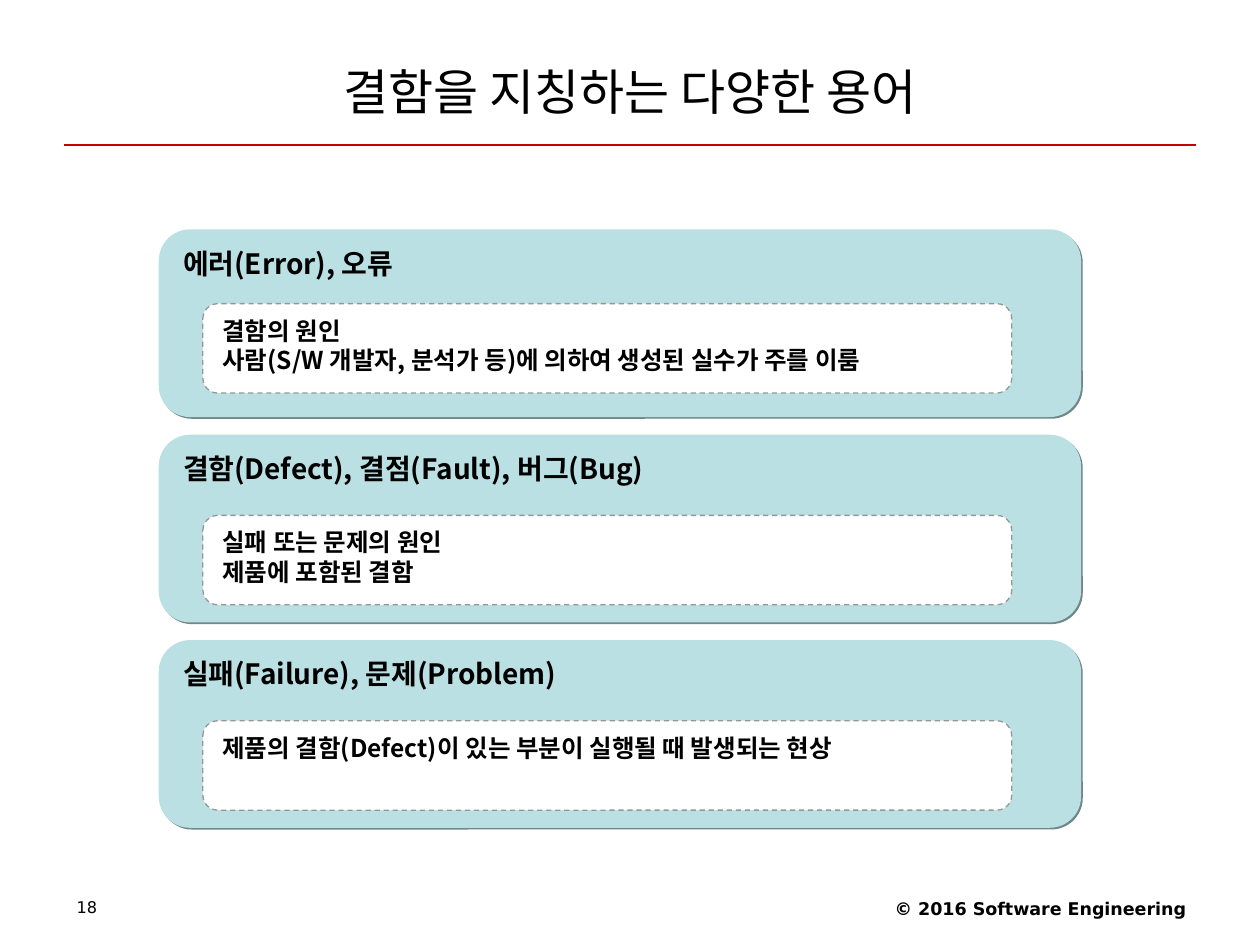
from lxml import etree
from pptx import Presentation
from pptx.dml.color import RGBColor
from pptx.enum.dml import MSO_LINE
from pptx.enum.shapes import MSO_CONNECTOR, MSO_SHAPE
from pptx.enum.text import MSO_ANCHOR, PP_ALIGN
from pptx.oxml.ns import qn
from pptx.util import Inches, Pt

LEFT, CENTER, RIGHT = PP_ALIGN.LEFT, PP_ALIGN.CENTER, PP_ALIGN.RIGHT
TOP, MIDDLE = MSO_ANCHOR.TOP, MSO_ANCHOR.MIDDLE
ROUNDED = MSO_SHAPE.ROUNDED_RECTANGLE
STRAIGHT = MSO_CONNECTOR.STRAIGHT
DASH = MSO_LINE.DASH

KOREAN, LATIN = "Noto Sans CJK KR", "DejaVu Sans"
BLACK, WHITE, RED = "000000", "FFFFFF", "C40000"
CARD_FILL, CARD_SHADOW, BOX_LINE = "BBE0E3", "708688", "969696"

# Heading, explanation lines, offset of the explanation box inside its card
TERMS = [
    ("에러(Error), 오류",
     ["결함의 원인", "사람(S/W 개발자, 분석가 등)에 의하여 생성된 실수가 주를 이룸"], 0.59),
    ("결함(Defect), 결점(Fault), 버그(Bug)",
     ["실패 또는 문제의 원인", "제품에 포함된 결함"], 0.64),
    ("실패(Failure), 문제(Problem)",
     ["제품의 결함(Defect)이 있는 부분이 실행될 때 발생되는 현상"], 0.64),
]
CARD_TOP, CARD_STEP = 1.82, 1.63


def color(value):
    return RGBColor.from_string(value)


def write_text(shape, lines, size, font=KOREAN, bold=False, align=LEFT,
               anchor=TOP, margins=(0.12, 0.06), spacing=1.0):
    frame = shape.text_frame
    frame.word_wrap = True
    frame.vertical_anchor = anchor
    frame.margin_left = frame.margin_right = Inches(margins[0])
    frame.margin_top = frame.margin_bottom = Inches(margins[1])
    for index, line in enumerate(lines):
        paragraph = frame.add_paragraph() if index else frame.paragraphs[0]
        paragraph.alignment = align
        paragraph.line_spacing = spacing
        run = paragraph.add_run()
        run.text = line
        run.font.name = font
        run.font.size = Pt(size)
        run.font.bold = bold
        run.font.color.rgb = color(BLACK)
        east_asian = etree.SubElement(run.font._element, qn("a:ea"))
        east_asian.set("typeface", font)


class SlideBuilder:
    def __init__(self, slide):
        self.slide = slide

    def text(self, lines, left, top, width, height, **style):
        box = self.slide.shapes.add_textbox(
            Inches(left), Inches(top), Inches(width), Inches(height))
        write_text(box, lines, **style)

    def rule(self, left, right, top):
        line = self.slide.shapes.add_connector(
            STRAIGHT, Inches(left), Inches(top), Inches(right), Inches(top))
        line.line.color.rgb = color(RED)
        line.line.width = Pt(0.75)
        etree.SubElement(line._element.spPr, qn("a:effectLst"))

    def rounded(self, lines, left, top, width, height, fill, size):
        shape = self.slide.shapes.add_shape(
            ROUNDED, Inches(left), Inches(top), Inches(width), Inches(height))
        shape.adjustments[0] = 0.167
        shape.shadow.inherit = False
        shape.fill.solid()
        shape.fill.fore_color.rgb = color(fill)
        shape.line.fill.background()
        write_text(shape, lines, size, bold=True)
        return shape

    def card(self, heading, top):
        shape = self.rounded([heading], 1.26, top, 7.32, 1.49, CARD_FILL, 16)
        effects = shape._element.spPr.find(qn("a:effectLst"))
        shadow = etree.SubElement(effects, qn("a:outerShdw"), blurRad="0",
                                  dist=str(Pt(1.4)), dir=str(45 * 60000),
                                  algn="ctr", rotWithShape="0")
        etree.SubElement(shadow, qn("a:srgbClr"), val=CARD_SHADOW)

    def explanation(self, lines, top):
        shape = self.rounded(lines, 1.61, top, 6.42, 0.71, WHITE, 14)
        shape.line.color.rgb = color(BOX_LINE)
        shape.line.width = Pt(0.75)
        shape.line.dash_style = DASH


def main():
    presentation = Presentation()
    presentation.slide_width, presentation.slide_height = Inches(10), Inches(7.5)
    slide = presentation.slides.add_slide(presentation.slide_layouts[6])
    builder = SlideBuilder(slide)

    # Title and rule
    builder.rule(0.51, 9.49, 1.15)
    builder.text(["결함을 지칭하는 다양한 용어"], 0.5, 0.3, 9, 0.85, size=28,
                 align=CENTER, anchor=MIDDLE, margins=(0, 0))

    # Term cards
    for index, (heading, lines, offset) in enumerate(TERMS):
        top = CARD_TOP + index * CARD_STEP
        builder.card(heading, top)
        builder.explanation(lines, top + offset)

    # Footer
    builder.text(["18"], 0.51, 7.09, 2.33, 0.28, size=9.2, font=LATIN,
                 margins=(0.1, 0.05), spacing=0.9)
    builder.text(["© 2016 Software Engineering"], 6.34, 7.08, 3.17, 0.29, size=10,
                 font=LATIN, bold=True, align=RIGHT, margins=(0.1, 0.05))

    presentation.save("out.pptx")


if __name__ == "__main__":
    main()
